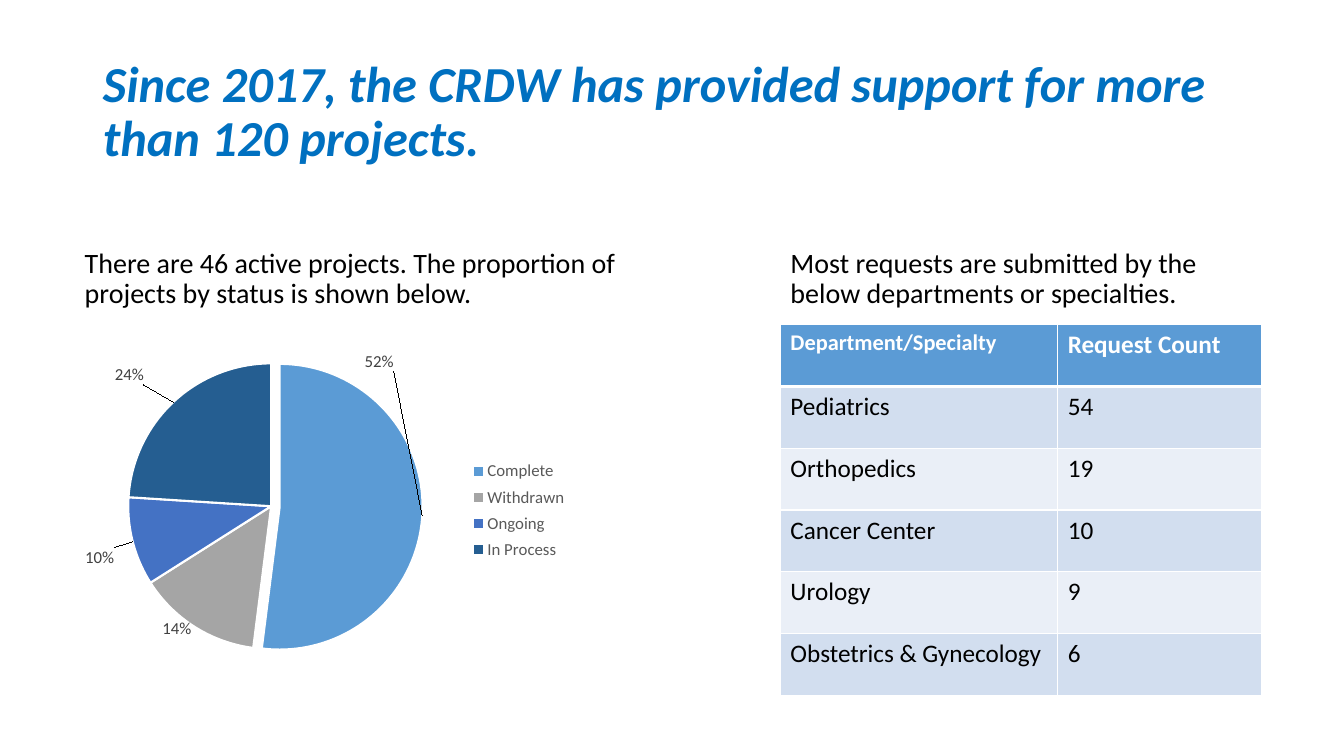
import copy

import pptx
import pptx.chart.data
import pptx.dml.color
import pptx.enum.chart
import pptx.enum.text
import pptx.oxml
import pptx.oxml.ns
import pptx.util
from pptx.util import Inches

FONT = "Calibri"
BLACK, WHITE = "000000", "FFFFFF"
HEADER_BLUE = "5B9BD5"
BANDS = ["D2DEEF", "EAEFF7"]

# status, percentage, slice colour, horizontal and vertical label shift
STATUSES = [
    ("Complete", 52, HEADER_BLUE, -0.10, -0.36),
    ("Withdrawn", 14, "A5A5A5", 0, -0.03),
    ("Ongoing", 10, "4472C4", -0.02, 0.01),
    ("In Process", 24, "255E91", -0.04, -0.03),
]
REQUESTS = [
    ("Department/Specialty", "Request Count"),
    ("Pediatrics", "54"),
    ("Orthopedics", "19"),
    ("Cancer Center", "10"),
    ("Urology", "9"),
    ("Obstetrics & Gynecology", "6"),
]


def rgb(color):
    return pptx.dml.color.RGBColor.from_string(color)


def format_font(font, size, color, bold=False, italic=False):
    font.name = FONT
    font.size = pptx.util.Pt(size)
    font.color.rgb = rgb(color)
    font.bold = bold
    font.italic = italic


def add_run(paragraph, text, *style):
    run = paragraph.add_run()
    run.text = text
    format_font(run.font, *style)


def fill_placeholder(shape, box, anchor, space_before, text, *style):
    shape.left, shape.top, shape.width, shape.height = map(Inches, box)
    frame = shape.text_frame
    frame.word_wrap = True
    frame.auto_size = pptx.enum.text.MSO_AUTO_SIZE.NONE
    frame.vertical_anchor = anchor
    paragraph = frame.paragraphs[0]
    paragraph.alignment = pptx.enum.text.PP_ALIGN.LEFT
    paragraph.line_spacing = 0.9
    paragraph.space_before = pptx.util.Pt(space_before)
    add_run(paragraph, text, *style)


def chart_element(markup):
    namespace = pptx.oxml.ns.nsdecls("c")
    return pptx.oxml.parse_xml(markup.replace(">", f" {namespace}>", 1))


def place_chart_part(part, index, settings):
    """Give the plot area or legend a manual layout."""
    for layout in part.xpath("./c:layout"):
        part.remove(layout)
    values = "".join(f'<c:{name} val="{value}"/>' for name, value in settings)
    part.insert(index, chart_element(
        f"<c:layout><c:manualLayout>{values}</c:manualLayout></c:layout>"))


def add_slice_labels(series):
    labels = series.data_labels
    labels.show_value = False
    labels.show_percentage = True
    labels.position = pptx.enum.chart.XL_LABEL_POSITION.OUTSIDE_END
    format_font(labels.font, 12, "404040")
    container = series.points[0].data_label.font and series.data_labels
    group = series.format and container._element
    for label in group.xpath("./c:dLbl"):
        group.remove(label)
    text_format = group.xpath("./c:txPr")[0]
    for index, (_, _, _, shift_x, shift_y) in enumerate(STATUSES):
        label = chart_element(
            f'<c:dLbl><c:idx val="{index}"/>'
            f'<c:layout><c:manualLayout><c:x val="{shift_x}"/>'
            f'<c:y val="{shift_y}"/></c:manualLayout></c:layout>'
            '<c:dLblPos val="outEnd"/><c:showLegendKey val="0"/>'
            '<c:showVal val="0"/><c:showCatName val="0"/>'
            '<c:showSerName val="0"/><c:showPercent val="1"/>'
            '<c:showBubbleSize val="0"/></c:dLbl>')
        label.insert(2, copy.deepcopy(text_format))
        group.insert(index, label)


def add_status_chart(slide):
    data = pptx.chart.data.CategoryChartData()
    data.categories = [status[0] for status in STATUSES]
    data.add_series("Series 1", [status[1] for status in STATUSES])
    chart = slide.shapes.add_chart(
        pptx.enum.chart.XL_CHART_TYPE.PIE, Inches(0.39), Inches(2.94),
        Inches(6.3), Inches(4.25), data).chart
    chart.has_title = False
    format_font(chart.font, 10, BLACK)
    chart.plots[0].vary_by_categories = True

    series = chart.plots[0].series[0]
    for index, status in enumerate(STATUSES):
        slice_format = series.points[index].format
        slice_format.fill.solid()
        slice_format.fill.fore_color.rgb = rgb(status[2])
        slice_format.line.color.rgb = rgb(WHITE)
        slice_format.line.width = pptx.util.Pt(1.5)
    complete = chart.element.xpath(".//c:dPt")[0]
    complete.insert(1, chart_element('<c:explosion val="6"></c:explosion>'))
    add_slice_labels(series)

    chart.has_legend = True
    chart.legend.position = pptx.enum.chart.XL_LEGEND_POSITION.RIGHT
    chart.legend.include_in_layout = False
    format_font(chart.legend.font, 12, "595959")
    edges = [("xMode", "edge"), ("yMode", "edge")]
    place_chart_part(
        chart.element.xpath(".//c:plotArea")[0], 0,
        [("layoutTarget", "inner"), *edges,
         ("x", 0.14), ("y", 0.12), ("w", 0.45), ("h", 0.74)])
    place_chart_part(
        chart.element.xpath(".//c:legend")[0], 1,
        [*edges, ("x", 0.67), ("y", 0.37), ("w", 0.17), ("h", 0.26)])


def set_borders(cell, widths):
    """Draw white cell borders; widths are points keyed by L, R, T and B."""
    properties = cell._tc.get_or_add_tcPr()
    for index, (side, width) in enumerate(widths.items()):
        properties.insert(index, pptx.oxml.parse_xml(
            f'<a:ln{side} {pptx.oxml.ns.nsdecls("a")} '
            f'w="{pptx.util.Pt(width)}"><a:solidFill>'
            f'<a:srgbClr val="{WHITE}"/></a:solidFill></a:ln{side}>'))


def add_request_table(slide):
    table = slide.shapes.add_table(
        len(REQUESTS), 2, Inches(7.74), Inches(3.22),
        Inches(4.77), Inches(3.68)).table
    for column, width in zip(table.columns, (2.75, 2.02)):
        column.width = Inches(width)
    for row_index, row in enumerate(REQUESTS):
        header = row_index == 0
        for column_index, text in enumerate(row):
            cell = table.cell(row_index, column_index)
            cell.fill.solid()
            cell.fill.fore_color.rgb = rgb(
                HEADER_BLUE if header else BANDS[(row_index - 1) % 2])
            size = 16 if header and column_index == 0 else 18
            add_run(cell.text_frame.paragraphs[0], text, size,
                    WHITE if header else BLACK, header)
            set_borders(cell, {"L": 1, "R": 1,
                               "T": 3 if row_index == 1 else 1,
                               "B": 3 if header else 1})


def main():
    presentation = pptx.Presentation()
    presentation.slide_width = Inches(13.33)
    presentation.slide_height = Inches(7.5)
    slide = presentation.slides.add_slide(presentation.slide_layouts[4])
    title, status_text, left_content, request_text, right_content = (
        slide.placeholders)
    for placeholder in (left_content, right_content):
        placeholder.element.getparent().remove(placeholder.element)

    anchors = pptx.enum.text.MSO_ANCHOR
    fill_placeholder(
        title, (0.92, 0.4, 11.71, 1.45), anchors.MIDDLE, 0,
        "Since 2017, the CRDW has provided support for more than 120 projects.",
        36, "0070C0", True, True)
    fill_placeholder(
        status_text, (0.74, 2.41, 6.3, 0.71), anchors.BOTTOM, 10,
        "There are 46 active projects. The proportion of projects by status "
        "is shown below.", 20, BLACK)
    add_status_chart(slide)
    add_request_table(slide)
    fill_placeholder(
        request_text, (7.74, 2.41, 4.47, 0.71), anchors.BOTTOM, 10,
        "Most requests are submitted by the below departments or specialties.",
        20, BLACK)
    presentation.save("out.pptx")


if __name__ == "__main__":
    main()
